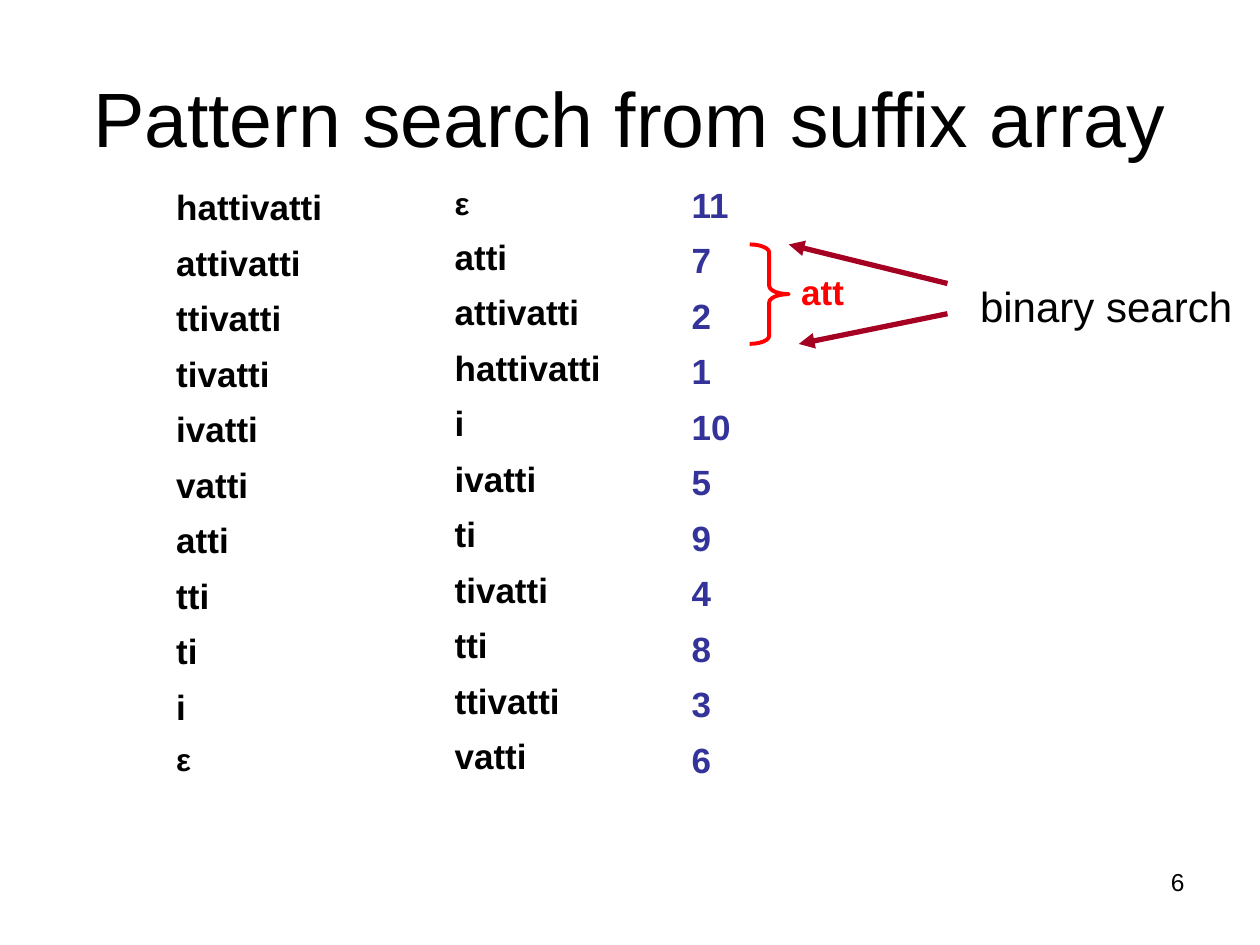
from dataclasses import dataclass

from lxml import etree
from pptx import Presentation
from pptx.dml.color import RGBColor
from pptx.enum.shapes import MSO_CONNECTOR, MSO_SHAPE
from pptx.enum.text import MSO_ANCHOR, MSO_AUTO_SIZE, PP_ALIGN
from pptx.oxml.ns import qn
from pptx.util import Inches, Pt

STRAIGHT = MSO_CONNECTOR.STRAIGHT
RIGHT_BRACE = MSO_SHAPE.RIGHT_BRACE
TOP, MIDDLE = MSO_ANCHOR.TOP, MSO_ANCHOR.MIDDLE
NO_FIT, GROW = MSO_AUTO_SIZE.NONE, MSO_AUTO_SIZE.SHAPE_TO_FIT_TEXT
LEFT, CENTER, RIGHT = PP_ALIGN.LEFT, PP_ALIGN.CENTER, PP_ALIGN.RIGHT


@dataclass(frozen=True)
class Theme:
    font: str = "Arial"
    ink: RGBColor = RGBColor.from_string("000000")
    index: RGBColor = RGBColor.from_string("333399")
    match: RGBColor = RGBColor.from_string("FF0000")
    arrow: RGBColor = RGBColor.from_string("A50021")
    title: int = 44
    label: int = 24
    entry: int = 20
    epsilon: int = 18
    number: int = 14
    line_spacing: float = 0.8
    space_share: float = 0.625


theme = Theme()
presentation = Presentation()
presentation.slide_width, presentation.slide_height = Inches(10), Inches(7.5)
slide = presentation.slides.add_slide(presentation.slide_layouts[6])


def place(left, top, *more):
    sides = (presentation.slide_width, presentation.slide_height) * 2
    return [round(side * share / 100) for side, share in zip(sides, (left, top, *more))]


def add_text(area, lines, size, color, bold=False, align=LEFT, anchor=TOP, fit=GROW, spacing=1.0):
    shape = slide.shapes.add_textbox(*place(*area))
    frame = shape.text_frame
    frame.text = "\n".join(lines)
    frame.word_wrap = True
    frame.auto_size = fit
    frame.vertical_anchor = anchor
    for position, paragraph in enumerate(frame.paragraphs):
        run = paragraph.runs[0]
        points = theme.epsilon if run.text == "ε" else size
        paragraph.alignment = align
        paragraph.line_spacing = spacing
        paragraph.space_before = Pt(points * theme.space_share if position else 0)
        run.font.name = theme.font
        run.font.size = Pt(points)
        run.font.bold = bold
        run.font.color.rgb = color


add_text((71.7, 91.07, 23.3, 6.93), ["6"], theme.number, theme.ink, align=RIGHT, fit=NO_FIT)
add_text((5, 4, 90, 16.67), ["Pattern search from suffix array"], theme.title, theme.ink,
         align=CENTER, anchor=MIDDLE, fit=NO_FIT)

word = "hattivatti"
suffixes = [word[start:] for start in range(len(word))] + ["ε"]
ranking = sorted(range(len(suffixes)), key=lambda start: suffixes[start].replace("ε", ""))
ordered = [suffixes[start] for start in ranking]
positions = [str(start + 1) for start in ranking]

columns = [
    (13, 19.87, 63.07, suffixes, theme.ink),
    (35.1, 19.6, 63.33, ordered, theme.ink),
    (53.9, 19.6, 63.73, positions, theme.index),
]
for left, top, height, lines, color in columns:
    add_text((left, top, 16.5, height), lines, theme.entry, color, bold=True,
             spacing=theme.line_spacing)

brace = slide.shapes.add_shape(RIGHT_BRACE, *place(59.5, 25.87, 3.1, 10.53))
brace.shadow.inherit = False
brace.adjustments[0] = 0.21
brace.fill.background()
brace.line.color.rgb = theme.match
brace.line.width = Pt(2.25)

add_text((62.6, 28, 11.8, 5.87), ["att"], theme.entry, theme.match, bold=True)
add_text((76.8, 29.07, 23.2, 6.67), ["binary search"], theme.label, theme.ink)

for start, end in [((75.2, 30), (62.6, 25.87)), ((75.2, 33.2), (63.4, 36.4))]:
    arrow = slide.shapes.add_connector(STRAIGHT, *place(*start, *end))
    arrow.line.color.rgb = theme.arrow
    arrow.line.width = Pt(3)
    etree.SubElement(arrow.line._get_or_add_ln(), qn("a:tailEnd"), type="triangle")
    etree.SubElement(arrow._element.spPr, qn("a:effectLst"))

presentation.save("out.pptx")
